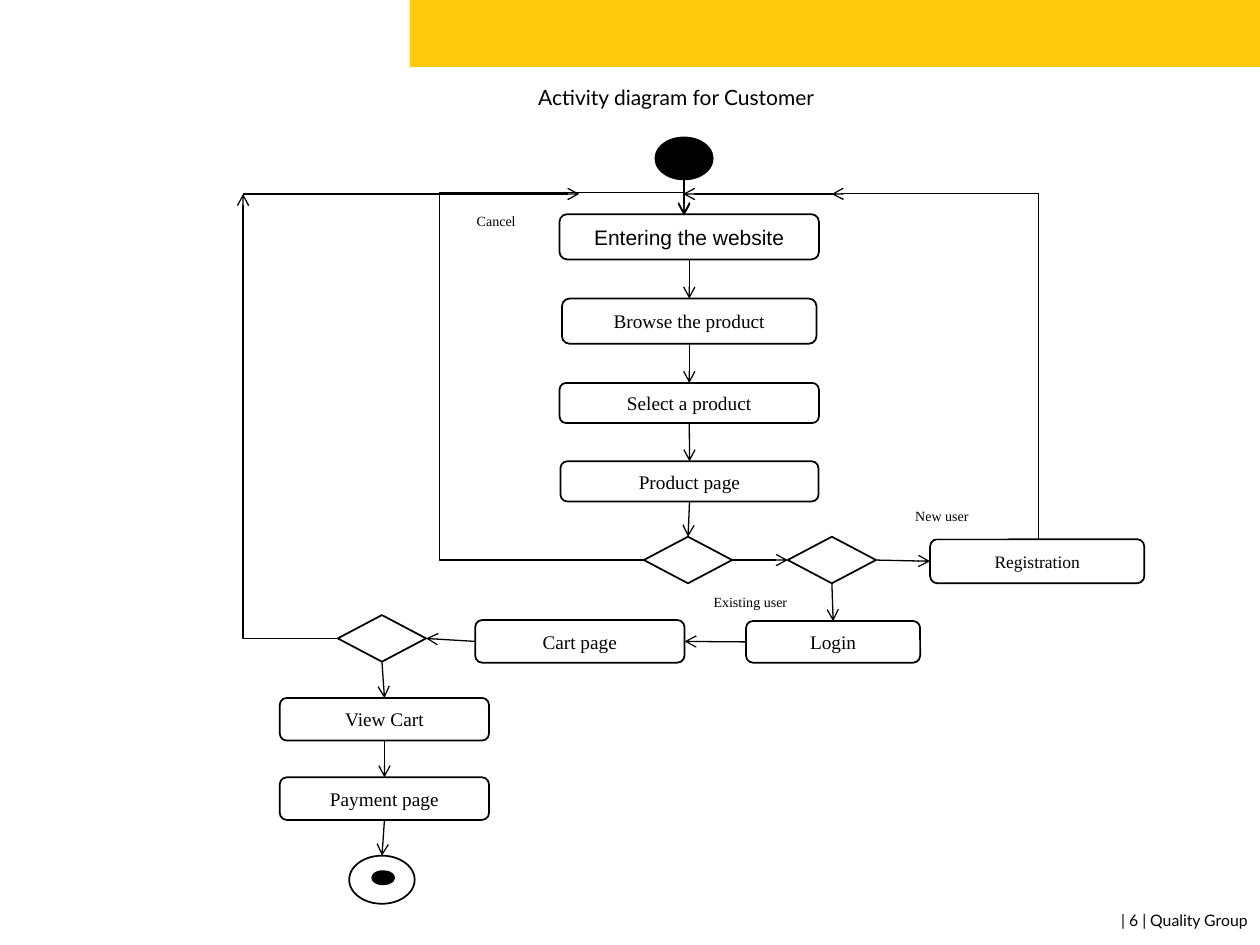
from dataclasses import dataclass
from itertools import pairwise

from lxml.etree import SubElement
from pptx import Presentation
from pptx.dml.color import RGBColor
from pptx.enum.shapes import MSO_CONNECTOR as Link, MSO_SHAPE as Form
from pptx.enum.text import MSO_ANCHOR as Anchor, MSO_AUTO_SIZE as AutoSize, PP_ALIGN as Align
from pptx.oxml.ns import qn
from pptx.shapes.autoshape import Shape
from pptx.shapes.connector import Connector
from pptx.slide import Slide
from pptx.text.text import TextFrame
from pptx.util import Cm, Pt

BLACK = RGBColor(0x00, 0x00, 0x00)
WHITE = RGBColor(0xFF, 0xFF, 0xFF)
YELLOW = RGBColor(0xFD, 0xCB, 0x0C)
SERIF = "Times New Roman"
TOP, LEFT, BOTTOM, RIGHT = range(4)


@dataclass(frozen=True)
class Node:
    left: float
    top: float
    width: float
    height: float
    text: str = ""
    size: int = 11
    font: str = SERIF
    form: Form = Form.ROUNDED_RECTANGLE
    fill: RGBColor = WHITE
    line: RGBColor = BLACK
    weight: float = 1


@dataclass(frozen=True)
class Elbow:
    left: float
    top: float
    width: float
    height: float
    preset: str
    rotation: int
    flip: str = ""
    bends: tuple[int, ...] = ()


def decision(left: float, top: float) -> Node:
    return Node(left, top, 1.78, 0.94, form=Form.FLOWCHART_DECISION)


def label(left: float, top: float, width: float, height: float, text: str) -> Node:
    return Node(left, top, width, height, text, size=8, line=WHITE)


NODES = {
    "start": Node(13.23, 2.79, 1.12, 0.81, form=Form.FLOWCHART_CONNECTOR, fill=BLACK, weight=2),
    "enter": Node(11.28, 4.32, 5.23, 0.91, "Entering the website", 12, "Arial"),
    "browse": Node(11.33, 6.02, 5.13, 0.91, "Browse the product"),
    "select": Node(11.28, 7.72, 5.23, 0.81, "Select a product"),
    "product": Node(11.3, 9.3, 5.2, 0.81, "Product page"),
    "buy": decision(12.98, 10.82),
    "member": decision(15.88, 10.82),
    "register": Node(18.75, 10.87, 4.32, 0.89, "Registration", 10),
    "login": Node(15.04, 12.52, 3.51, 0.84, "Login"),
    "cart": Node(9.58, 12.5, 4.22, 0.86, "Cart page"),
    "confirm": decision(6.81, 12.4),
    "view": Node(5.64, 14.07, 4.22, 0.86, "View Cart"),
    "payment": Node(5.64, 15.67, 4.22, 0.86, "Payment page"),
    "end": Node(7.04, 17.25, 1.32, 0.97, form=Form.FLOWCHART_CONNECTOR),
    "end core": Node(7.52, 17.58, 0.41, 0.23, form=Form.FLOWCHART_CONNECTOR, fill=BLACK, weight=2),
}
LABELS = [
    label(9.04, 4.04, 1.93, 0.81, "Cancel"),
    label(13.67, 11.81, 2.92, 0.64, "Existing user"),
    label(17.53, 9.98, 2.92, 0.86, "New user"),
]
DOWNWARD = [
    ("enter", "browse", "select", "product", "buy"),
    ("member", "login"),
    ("confirm", "view", "payment", "end"),
]
RIGHTWARD = [("buy", "member", "register")]
LEFTWARD = [("login", "cart", "confirm")]
MERGES = [
    (13.79, 3.6, 13.79, 4.35),
    (16.79, 3.91, 13.77, 3.91),
    (4.9, 3.91, 11.68, 3.91),
]
RETURNS = [
    Elbow(12.98, 4.32, 0.81, 6.97, "bentConnector4", 180, "flipH", (-508300, 106400)),
    Elbow(4.9, 3.91, 1.91, 8.96, "bentConnector2", 180),
    Elbow(15.37, 5.31, 6.96, 4.17, "bentConnector3", 270, "flipV", (100100,)),
]


def write(frame: TextFrame, text: str, size: int, font: str, align: Align, anchor: Anchor) -> None:
    frame.text = text
    frame.word_wrap = True
    frame.auto_size = AutoSize.NONE
    frame.vertical_anchor = anchor
    paragraph = frame.paragraphs[0]
    paragraph.alignment = align
    paragraph.font.size = Pt(size)
    paragraph.font.name = font
    paragraph.font.color.rgb = BLACK


def draw_node(slide: Slide, node: Node) -> Shape:
    shape = slide.shapes.add_shape(
        node.form, Cm(node.left), Cm(node.top), Cm(node.width), Cm(node.height))
    shape.shadow.inherit = False
    shape.fill.solid()
    shape.fill.fore_color.rgb = node.fill
    shape.line.color.rgb = node.line
    shape.line.width = Pt(node.weight)
    if node.text:
        write(shape.text_frame, node.text, node.size, node.font, Align.CENTER, Anchor.MIDDLE)
    return shape


def draw_arrow(slide: Slide, kind: Link, x1: float, y1: float, x2: float, y2: float) -> Connector:
    arrow = slide.shapes.add_connector(kind, Cm(x1), Cm(y1), Cm(x2), Cm(y2))
    arrow.line.color.rgb = BLACK
    arrow.line.width = Pt(0.75)
    SubElement(arrow.line._get_or_add_ln(), qn("a:tailEnd"), type="arrow")
    SubElement(arrow._element.spPr, qn("a:effectLst"))
    return arrow


def join(slide: Slide, source: Shape, source_side: int, target: Shape, target_side: int) -> None:
    arrow = draw_arrow(slide, Link.STRAIGHT, 0, 0, 0, 0)
    arrow.begin_connect(source, source_side)
    arrow.end_connect(target, target_side)


def draw_elbow(slide: Slide, elbow: Elbow) -> None:
    arrow = draw_arrow(slide, Link.ELBOW, elbow.left, elbow.top,
                       elbow.left + elbow.width, elbow.top + elbow.height)
    properties = arrow._element.spPr
    frame = properties.find(qn("a:xfrm"))
    frame.set("rot", str(elbow.rotation * 60000))
    if elbow.flip:
        frame.set(elbow.flip, "1")
    geometry = properties.find(qn("a:prstGeom"))
    geometry.set("prst", elbow.preset)
    guides = geometry.find(qn("a:avLst"))
    for number, bend in enumerate(elbow.bends, 1):
        SubElement(guides, qn("a:gd"), name=f"adj{number}", fmla=f"val {bend}")


def main() -> None:
    deck = Presentation()
    deck.slide_width, deck.slide_height = Cm(25.4), Cm(19.05)
    slide = deck.slides.add_slide(deck.slide_layouts[5])

    title = slide.shapes.title
    title.left, title.top, title.width, title.height = Cm(7.82), Cm(1.57), Cm(11.63), Cm(0.99)
    write(title.text_frame, "Activity diagram for Customer", 12, "Lato", Align.CENTER, Anchor.TOP)

    draw_node(slide, Node(8.26, 0, 17.14, 1.35, form=Form.RECTANGLE,
                          fill=YELLOW)).line.fill.background()
    footer = slide.shapes.add_textbox(Cm(17.35), Cm(18.24), Cm(8.05), Cm(0.8))
    write(footer.text_frame, "| 6 | Quality Group", 9, "Lato", Align.RIGHT, Anchor.TOP)

    steps = {key: draw_node(slide, node) for key, node in NODES.items()}
    for chains, leave, arrive in ((DOWNWARD, BOTTOM, TOP),
                                  (RIGHTWARD, RIGHT, LEFT),
                                  (LEFTWARD, LEFT, RIGHT)):
        for chain in chains:
            for source, target in pairwise(chain):
                join(slide, steps[source], leave, steps[target], arrive)
    for merge in MERGES:
        draw_arrow(slide, Link.STRAIGHT, *merge)
    for elbow in RETURNS:
        draw_elbow(slide, elbow)
    for caption in LABELS:
        draw_node(slide, caption)

    deck.save("out.pptx")


if __name__ == "__main__":
    main()
